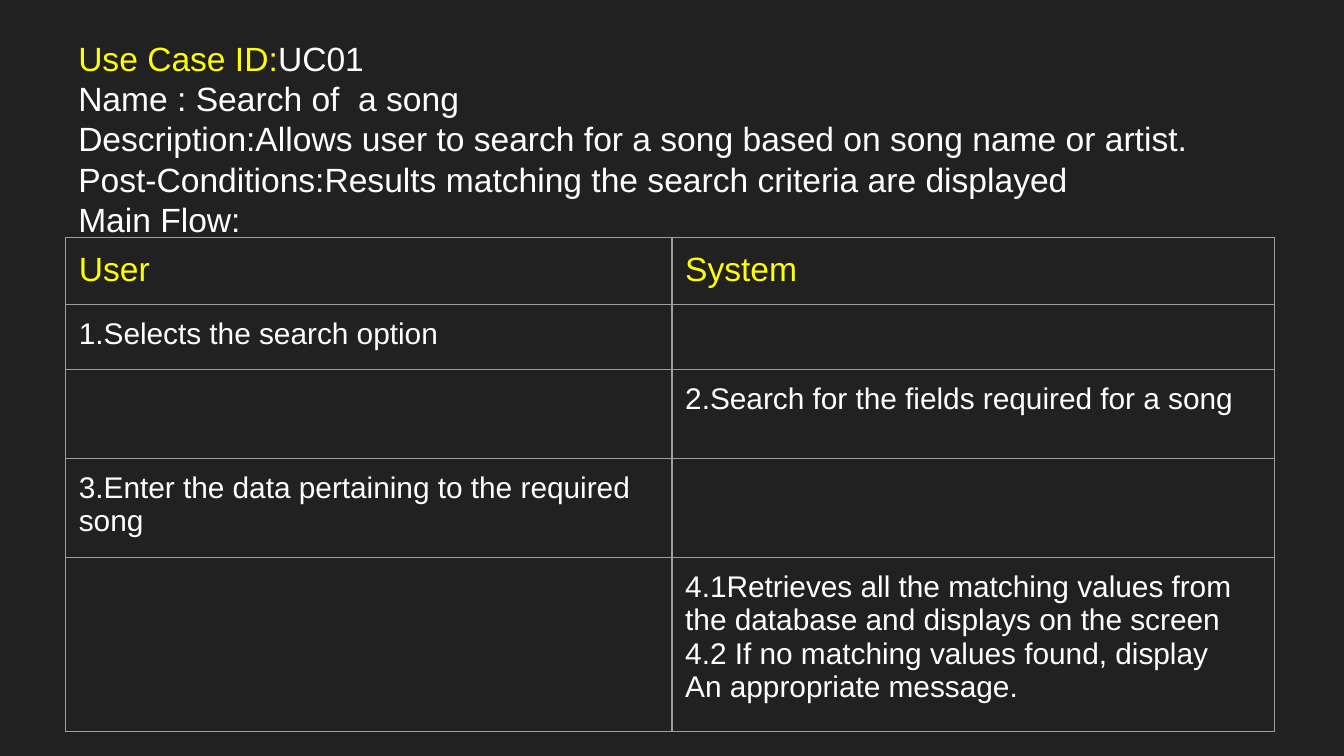
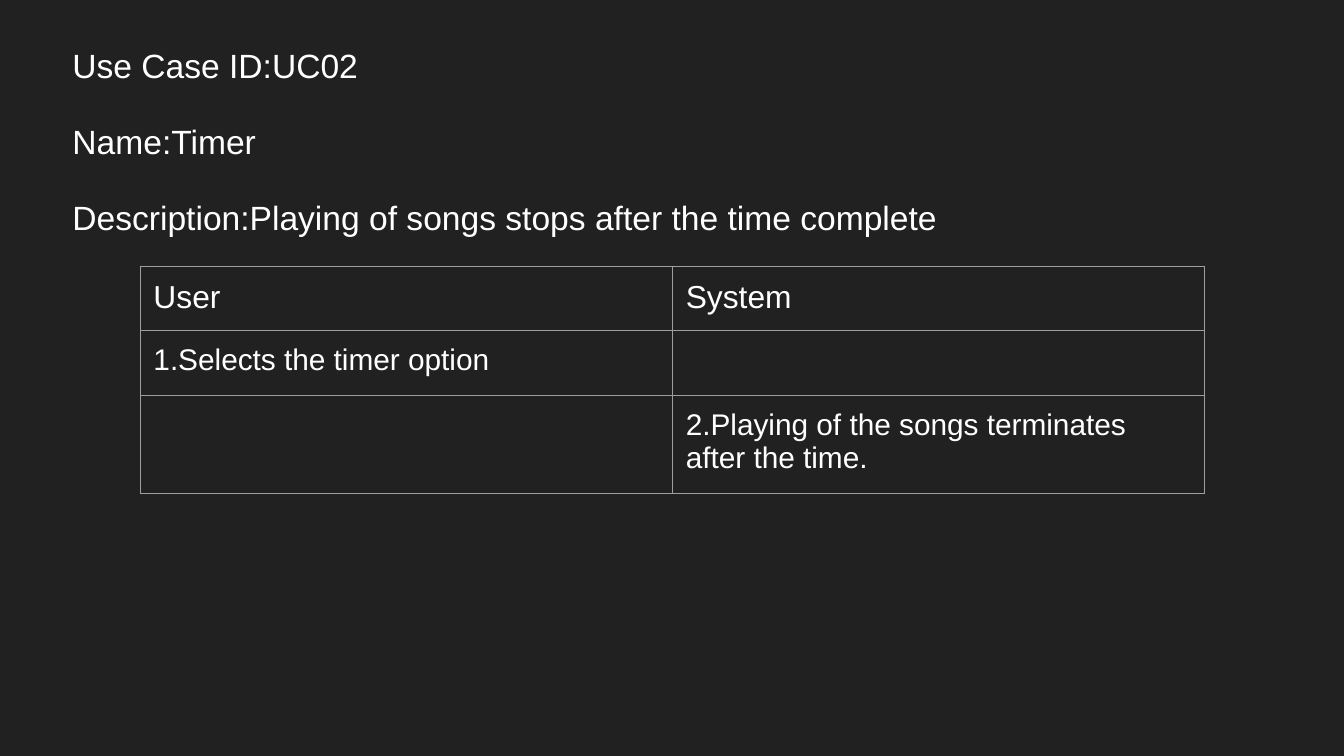
from lxml import etree
from pptx import Presentation
from pptx import util as u
from pptx.dml import color
from pptx.enum import text
from pptx.oxml import ns

# Shared look
DARK, WHITE, YELLOW, GREY = "212121", "FFFFFF", "FFFF00", "9E9E9E"
FONT = "Arial"
PAD = u.Cm(0.25)
PADS = dict.fromkeys(
    ("margin_left", "margin_top", "margin_right", "margin_bottom"), PAD)


def rgb(code):
    return color.RGBColor.from_string(code)


def apply(item, form):
    for key, val in form.items():
        setattr(item, key, val)


def add_run(para, words, size, tint):
    run = para.add_run()
    run.text = words
    apply(run.font, {"name": FONT, "size": u.Pt(size), "bold": False})
    run.font.color.rgb = rgb(tint)


def write(frame, lines, size, form):
    """Each line is a list of (words, colour) runs."""
    for num, line in enumerate(lines):
        para = frame.add_paragraph() if num else frame.paragraphs[0]
        apply(para, form)
        if num == 0:
            para.space_before = u.Pt(0)
        for words, tint in line:
            add_run(para, words, size, tint)


def add_text(slide, box, lines, form):
    frame = slide.shapes.add_textbox(*map(u.Cm, box)).text_frame
    apply(frame, {"word_wrap": True,
                  "vertical_anchor": text.MSO_ANCHOR.TOP, **PADS})
    write(frame, lines, 18, form)


def add_edges(cell):
    props = cell._tc.get_or_add_tcPr()
    for num, side in enumerate(("lnL", "lnR", "lnT", "lnB")):
        line = etree.Element(ns.qn("a:" + side), w=str(u.Pt(0.75)))
        fill = etree.SubElement(line, ns.qn("a:solidFill"))
        etree.SubElement(fill, ns.qn("a:srgbClr"), val=GREY)
        props.insert(num, line)


def set_empty(cell, size):
    """Fix the font of an empty cell, which sets its least height."""
    para = cell.text_frame.paragraphs[0]._p
    end = etree.SubElement(para, ns.qn("a:endParaRPr"), sz=str(size * 100))
    etree.SubElement(end, ns.qn("a:latin"), typeface=FONT)


def add_flow(slide, left, top, cols, rows, cells, head):
    """Draw a User/System table; head is the (size, colour) of its first row."""
    table = slide.shapes.add_table(
        len(rows), len(cols), u.Cm(left), u.Cm(top),
        u.Cm(sum(cols)), u.Cm(sum(rows))).table
    apply(table, {"first_row": False, "horz_banding": False})
    for col, wide in zip(table.columns, cols):
        col.width = u.Cm(wide)
    for row, high in zip(table.rows, rows):
        row.height = u.Cm(high)
    for r, line in enumerate([("User", "System"), *cells]):
        size, tint = (16, WHITE) if r else head
        for c, words in enumerate(line):
            cell = table.cell(r, c)
            apply(cell, PADS)
            cell.fill.background()
            add_edges(cell)
            if words:
                lines = [[(part, tint)] for part in words.split("\n")]
                write(cell.text_frame, lines, size, {})
            else:
                set_empty(cell, size)


def add_search(slide):
    add_text(slide, (1.23, 0.46, 22.86, 13.28), [
        [("Use Case ID:", YELLOW), ("UC01", WHITE)],
        [("Name : Search of  a song", WHITE)],
        [("Description:Allows user to search for a song based on song name "
          "or artist.", WHITE)],
        [("Post-Conditions:Results matching the search criteria are displayed",
          WHITE)],
        [("Main Flow:", WHITE)],
    ], {"line_spacing": 1.0})
    add_flow(slide, 1.24, 4.49, (11.46, 11.39), (1.27, 1.22, 1.68, 1.88, 3.28), [
        ("1.Selects the search option", ""),
        ("", "2.Search for the fields required for a song"),
        ("3.Enter the data pertaining to the required song", ""),
        ("", "4.1Retrieves all the matching values from the database and "
             "displays on the screen\n"
             "4.2 If no matching values found, display\n"
             "An appropriate message."),
    ], (18, YELLOW))


def add_timer(slide):
    add_text(slide, (1.12, 0.48, 23.52, 12.19), [
        [("Use Case ID:UC02", WHITE)],
        [("Name:Timer", WHITE)],
        [("Description:Playing of songs stops after the time complete", WHITE)],
    ], {"line_spacing": 1.15, "space_before": u.Pt(16)})
    add_flow(slide, 2.65, 5.03, (10.06, 10.06), (1.18, 1.22, 1.77), [
        ("1.Selects the timer option", ""),
        ("", "2.Playing of the songs terminates after the time."),
    ], (17, WHITE))


def main():
    prs = Presentation()
    apply(prs, {"slide_width": u.Cm(25.4), "slide_height": u.Cm(14.29)})
    back = prs.slide_master.background.fill
    back.solid()
    back.fore_color.rgb = rgb(DARK)
    for build in (add_search, add_timer):
        build(prs.slides.add_slide(prs.slide_layouts[6]))
    prs.save("out.pptx")


if __name__ == "__main__":
    main()
